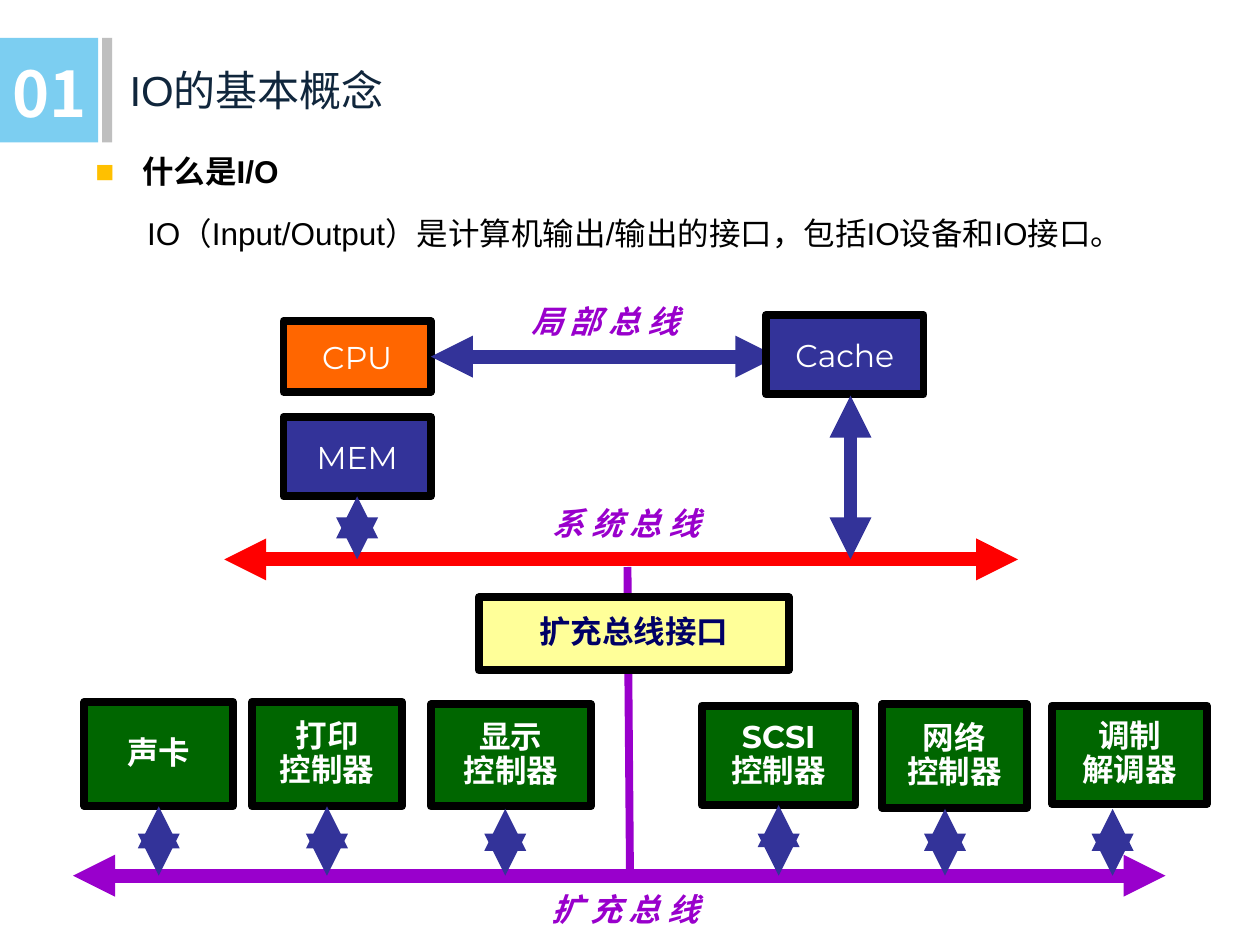
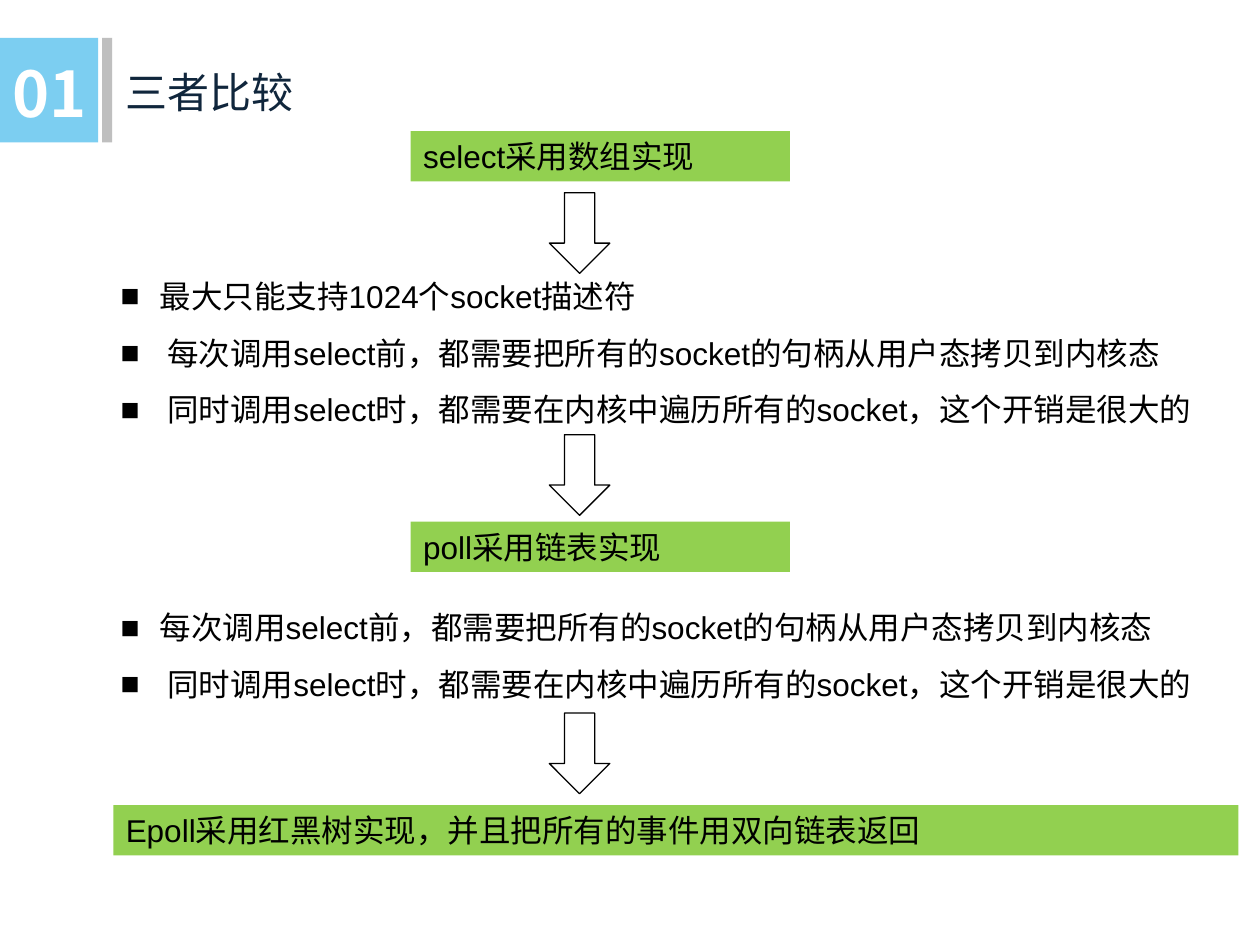
from typing import NamedTuple

from lxml import etree
from pptx import Presentation
from pptx import util as u
from pptx.dml import color
from pptx.enum import shapes, text
from pptx.oxml import ns

COLUMNS, ROWS = 100, 75
CELL = u.Inches(0.1)
SANS, CJK, LATIN = "Arial", "Noto Sans CJK SC", "Montserrat"
BLACK, WHITE, NAVY, INK = "000000", "FFFFFF", "000066", "10263C"
SKY, GREY, AMBER, LIME = "7CCEF1", "BFBFBF", "FFC000", "92D050"
BLUE, ORANGE, GREEN, YELLOW = "333399", "FF6600", "006600", "FFFF99"
PURPLE, RED = "9900CC", "FF0000"
LEFT, CENTER = text.PP_ALIGN.LEFT, text.PP_ALIGN.CENTER
TOP, MIDDLE = text.MSO_ANCHOR.TOP, text.MSO_ANCHOR.MIDDLE
RECT, DOWN = shapes.MSO_SHAPE.RECTANGLE, shapes.MSO_SHAPE.DOWN_ARROW


class Box(NamedTuple):
    """An area of the slide in grid columns and rows."""

    left: float
    top: float
    width: float
    height: float

    def at(self, left, top, width, height):
        """Return an area offset from this one's corner."""
        return Box(self.left + left, self.top + top, width, height)

    def point(self, x, y):
        """Return a slide position offset from this area's corner."""
        return self.left + x, self.top + y

    def emu(self):
        """Return the area as slide lengths."""
        return [int(part * CELL) for part in self]


HEADER = Box(0, 3, COLUMNS, 8.3)
INTRO = Box(6.6, 11.6, 86, 12)
DIAGRAM = Box(5, 23, 91, 52)
COMPARISON = Box(8.6, 10.4, 88.4, 58)


def rgb(code):
    """Turn a hex string into a colour."""
    return color.RGBColor.from_string(code)


def write(shape, words, font, ink, size=18, bold=False, italic=False,
          align=LEFT, anchor=TOP, wrap=True, spacing=None):
    """Put formatted text into a shape, one paragraph for each line."""
    frame = shape.text_frame
    frame.text = words
    frame.word_wrap = wrap
    frame.vertical_anchor = anchor
    for paragraph in frame.paragraphs:
        paragraph.alignment = align
        if spacing:
            paragraph.line_spacing = spacing
        for run in paragraph.runs:
            run.font.name, run.font.size = font, u.Pt(size)
            run.font.bold, run.font.italic = bold, italic
            run.font.color.rgb = rgb(ink)
            east_asian = etree.SubElement(run.font._element, ns.qn("a:ea"))
            east_asian.set("typeface", CJK)


def label(slide, box, words, font=SANS, ink=BLACK, **style):
    """Add a text box and return it."""
    shape = slide.shapes.add_textbox(*box.emu())
    write(shape, words, font, ink, **style)
    return shape


def block(slide, box, fill, edge=None, kind=RECT):
    """Add a filled shape, outlined when an edge width is given."""
    shape = slide.shapes.add_shape(kind, *box.emu())
    shape.shadow.inherit = False
    shape.fill.solid()
    shape.fill.fore_color.rgb = rgb(fill)
    if edge:
        shape.line.color.rgb = rgb(BLACK)
        shape.line.width = u.Pt(edge)
    else:
        shape.line.fill.background()
    return shape


def component(slide, box, words, fill, ink=WHITE, bold=False, spacing=None):
    """Add a heavily framed hardware component."""
    shape = block(slide, box, fill, edge=4.5)
    write(shape, words, LATIN, ink, bold=bold, align=CENTER, anchor=MIDDLE,
          wrap=False, spacing=spacing)
    return shape


def link(slide, start, end, ink, width=8, arrows=True):
    """Add a straight line, with arrowheads at both ends by default."""
    ends = [int(part * CELL) for part in (*start, *end)]
    line = slide.shapes.add_connector(shapes.MSO_CONNECTOR.STRAIGHT, *ends)
    line.line.color.rgb = rgb(ink)
    line.line.width = u.Pt(width)
    if arrows:
        outline = line.line._get_or_add_ln()
        for tag in ("a:headEnd", "a:tailEnd"):
            etree.SubElement(outline, ns.qn(tag)).set("type", "triangle")
    etree.SubElement(line._element.spPr, ns.qn("a:effectLst"))
    return line


def add_bullet(paragraph, ink, indent):
    """Give a paragraph a square bullet and a hanging indent."""
    properties = paragraph._p.get_or_add_pPr()
    properties.set("marL", str(u.Inches(indent)))
    properties.set("indent", str(-u.Inches(indent)))
    tint = etree.SubElement(properties, ns.qn("a:buClr"))
    etree.SubElement(tint, ns.qn("a:srgbClr")).set("val", ink)
    etree.SubElement(properties, ns.qn("a:buFont")).set("typeface", SANS)
    etree.SubElement(properties, ns.qn("a:buChar")).set("char", "■")


def header(slide, box, title, left, top):
    """Draw the chapter number, its side bar and the slide title."""
    block(slide, box.at(0, 0, 7.8, box.height), SKY)
    block(slide, box.at(8.1, 0, 0.8, box.height), GREY)
    label(slide, box.at(0, 0.8, 8.9, 7), "01", CJK, WHITE, size=36, bold=True)
    label(slide, box.at(left, top, 85, 5), title, ink=INK, size=24)


def intro(slide, box):
    """Write the question and its definition."""
    question = label(slide, box.at(0, 0, 30.6, 4), "什么是I/O", bold=True)
    add_bullet(question.text_frame.paragraphs[0], AMBER, 0.37)
    label(slide, box.at(4.1, 4.9, 81.9, 7),
          "IO（Input/Output）是计算机输出/输出的接口，包括IO设备和IO接口。")


def devices(slide, box, bus_row):
    """Draw the device controllers and link each one to the bus."""
    controllers = [
        ("声卡", 1.7, 32.7, 11.8, 8.3, 7.4),
        ("打印\n控制器", 15, 32.7, 11.9, 8.3, 20.9),
        ("显示\n控制器", 29.2, 32.9, 12.7, 8.1, 35.1),
        ("SCSI\n控制器", 50.7, 33, 12.2, 7.9, 56.8),
        ("网络\n控制器", 65, 32.9, 11.5, 8.2, 70),
        ("调制\n解调器", 78.5, 33, 12.3, 7.8, 83.3),
    ]
    for name, left, top, width, height, port in controllers:
        controller = component(slide, box.at(left, top, width, height), name,
                               GREEN, bold=True, spacing=0.9)
        middle = left + width / 2
        joined = abs(port - middle) < 0.25
        column = middle if joined else port
        arrow = link(slide, box.point(column, 41.2),
                     box.point(column, bus_row), BLUE)
        if joined:
            arrow.begin_connect(controller, 2)


def bus_diagram(slide, box):
    """Draw the local, system and expansion buses with their components."""
    system_row, expansion_row = 21.4, 46.5
    link(slide, box.point(0.8, expansion_row),
         box.point(87.5, expansion_row), PURPLE)
    link(slide, box.point(12.8, system_row),
         box.point(75.8, system_row), RED)
    link(slide, box.point(44.8, 22), box.point(45, expansion_row), PURPLE,
         width=4.5, arrows=False)
    component(slide, box.at(33, 24.4, 24.6, 5.8), "扩充总线接口", YELLOW,
              NAVY, bold=True, spacing=0.85)

    cpu = component(slide, box.at(17.5, 2.5, 11.7, 5.6), "CPU", ORANGE)
    memory = component(slide, box.at(17.5, 10.1, 11.7, 6.3), "MEM", BLUE)
    local_bus = link(slide, box.point(29.2, 5.3), box.point(56.7, 5.3), BLUE)
    local_bus.begin_connect(cpu, 3)
    component(slide, box.at(55.8, 2, 12.5, 6.3), "Cache", BLUE)
    memory_link = link(slide, box.point(23.35, 16.4),
                       box.point(23.35, system_row), BLUE)
    memory_link.begin_connect(memory, 2)
    link(slide, box.point(62.5, 8.4), box.point(62.5, system_row), BLUE)

    devices(slide, box, expansion_row)
    for name, left, top in [("局 部 总 线 ", 30.8, 0.4),
                            ("系 统 总 线 ", 32.5, 16.4),
                            ("扩 充 总 线 ", 32.4, 47)]:
        label(slide, box.at(left, top, 25, 4.2), name, CJK, PURPLE, bold=True,
              italic=True, align=CENTER, anchor=MIDDLE, wrap=False)


def comparison(slide, box):
    """Draw the chain of select, poll and epoll with their drawbacks."""
    copying = "每次调用select前，都需要把所有的socket的句柄从用户态拷贝到内核态"
    scanning = "同时调用select时，都需要在内核中遍历所有的socket，这个开销是很大的"
    drawbacks = [
        (9.6, 19, ["最大只能支持1024个socket描述符", copying, scanning]),
        (35.9, 14.5, [copying, scanning]),
    ]
    for top, height, points in drawbacks:
        notes = label(slide, box.at(0, top, box.width, height),
                      "\n".join(points), spacing=1.5)
        for number, paragraph in enumerate(notes.text_frame.paragraphs):
            add_bullet(paragraph, BLACK, 0.37 if number else 0.31)
    for top in (4.9, 24.1, 46.2):
        block(slide, box.at(35, top, 4.8, 6.4), WHITE, edge=0.75, kind=DOWN)
    for words, left, top, width in [
        ("select采用数组实现", 24, 0, 30.1),
        ("poll采用链表实现", 24, 31, 30.1),
        ("Epoll采用红黑树实现，并且把所有的事件用双向链表返回", 0.4, 53.5, 89.3),
    ]:
        method = block(slide, box.at(left, top, width, 4), LIME)
        write(method, words, SANS, BLACK)


def main():
    """Build both slides and save the deck."""
    deck = Presentation()
    deck.slide_width, deck.slide_height = COLUMNS * CELL, ROWS * CELL
    blank = deck.slide_layouts[6]

    concept = deck.slides.add_slide(blank)
    header(concept, HEADER, "IO的基本概念", 9.3, 1.6)
    intro(concept, INTRO)
    bus_diagram(concept, DIAGRAM)

    methods = deck.slides.add_slide(blank)
    header(methods, HEADER, "三者比较", 9, 1.8)
    comparison(methods, COMPARISON)

    deck.save("out.pptx")


if __name__ == "__main__":
    main()
